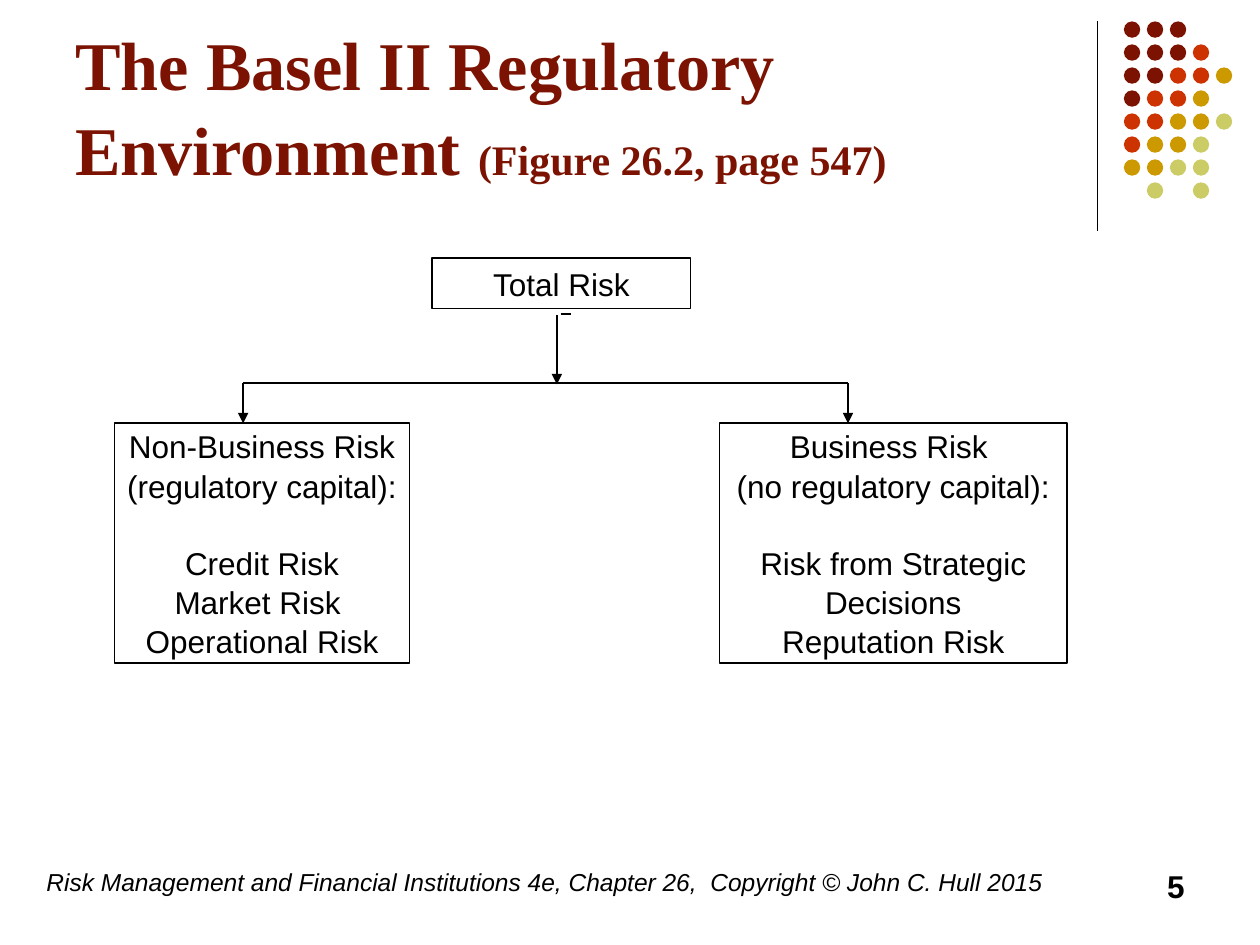
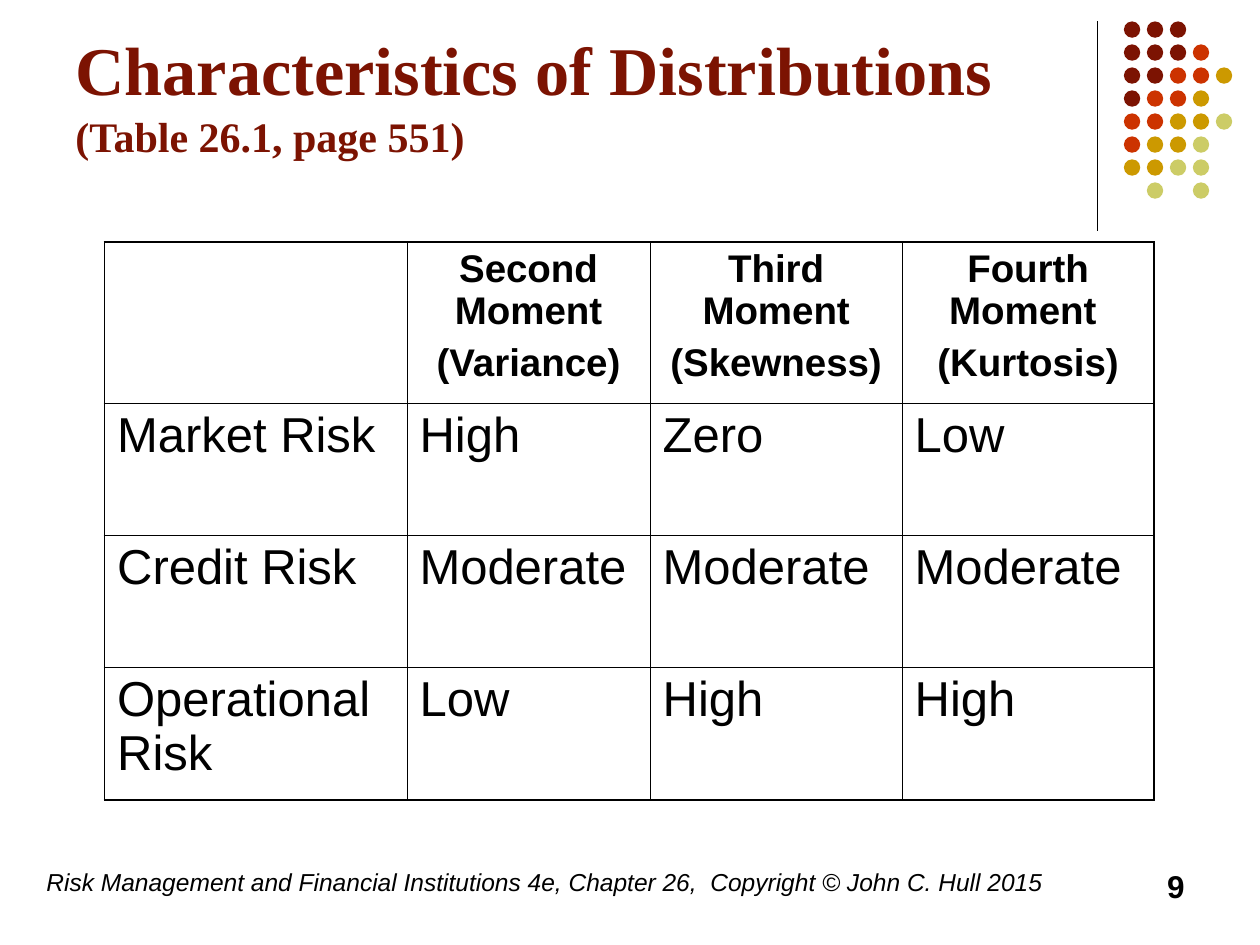
from lxml import etree
from pptx import Presentation
from pptx.dml.color import RGBColor
from pptx.enum.shapes import MSO_CONNECTOR, MSO_SHAPE
from pptx.enum.text import MSO_ANCHOR, PP_ALIGN
from pptx.oxml.ns import qn
from pptx.util import Inches, Pt

STRAIGHT = MSO_CONNECTOR.STRAIGHT
RECTANGLE, OVAL = MSO_SHAPE.RECTANGLE, MSO_SHAPE.OVAL
TOP, MIDDLE, BOTTOM = MSO_ANCHOR.TOP, MSO_ANCHOR.MIDDLE, MSO_ANCHOR.BOTTOM
LEFT, CENTER, RIGHT = PP_ALIGN.LEFT, PP_ALIGN.CENTER, PP_ALIGN.RIGHT

BLACK = RGBColor(0x00, 0x00, 0x00)
WHITE = RGBColor(0xFF, 0xFF, 0xFF)
MAROON = RGBColor(0x7C, 0x13, 0x02)
RED = RGBColor(0xCC, 0x33, 0x00)
OCHRE = RGBColor(0xCC, 0x99, 0x00)
LIME = RGBColor(0xCC, 0xCC, 0x66)

DOT_COLORS = {"M": MAROON, "R": RED, "O": OCHRE, "L": LIME}
DOT_ROWS = ["MMM", "MMMR", "MMRRO", "MRRO", "RROOL", "ROOL", "OOLL", " L L"]
DOT_PITCH = 0.73 / 4
DOT_SIZE = 0.13

TITLE = {"name": "Times New Roman", "size": Pt(39), "bold": True, "color": MAROON}
REFERENCE = {**TITLE, "size": Pt(24)}
BODY = {"name": "Arial", "size": Pt(18), "color": BLACK}
FOOTER = {**BODY, "size": Pt(14), "italic": True}
NUMBER = {**BODY, "bold": True}
TABLE_HEAD = {**BODY, "size": Pt(22), "bold": True}
TABLE_BODY = {**BODY, "size": Pt(28)}

FOOTER_TEXT = (
    "Risk Management and Financial Institutions 4e, Chapter 26,  "
    "Copyright © John C. Hull 2015"
)
INNER_BORDER, OUTER_BORDER = 0.45, 1.08


class Deck:
    """Holds the presentation, its shared style and the current slide."""

    def __init__(self):
        self.presentation = Presentation()
        self.presentation.slide_width = Inches(10)
        self.presentation.slide_height = Inches(7.5)
        self.slide = None

    def new_slide(self, title, reference, title_height, number):
        """Adds a slide with its title, ornament, footer and number."""
        blank = self.presentation.slide_layouts[6]
        self.slide = self.presentation.slides.add_slide(blank)
        self.line((8.71, 0.17), (8.71, 1.83), width=0.75)
        self.dots()
        self.text_box((0.27, 6.83, 8.27, 0.5), [[(FOOTER_TEXT, FOOTER)]])
        self.text_box(
            (0.5, 0.13, 8.25, title_height),
            [[(title, TITLE), (reference, REFERENCE)]],
            anchor=BOTTOM, spacing=1.04,
        )
        self.text_box((7.17, 6.83, 2.33, 0.5), [[(number, NUMBER)]], align=RIGHT)

    def dots(self):
        """Draws the corner pattern of coloured dots."""
        pattern = self.slide.shapes.add_group_shape()
        for row, codes in enumerate(DOT_ROWS):
            for column, code in enumerate(codes):
                if code == " ":
                    continue
                dot = pattern.shapes.add_shape(
                    OVAL,
                    Inches(8.92 + column * DOT_PITCH),
                    Inches(0.17 + row * DOT_PITCH),
                    Inches(DOT_SIZE), Inches(DOT_SIZE),
                )
                dot.shadow.inherit = False
                dot.fill.solid()
                dot.fill.fore_color.rgb = DOT_COLORS[code]
                dot.line.fill.background()

    def fill_text(self, frame, paragraphs, align=LEFT, spacing=1.0, gaps=None):
        """Fills a text frame; gaps maps a paragraph index to its space before."""
        for index, runs in enumerate(paragraphs):
            paragraph = frame.paragraphs[0] if index == 0 else frame.add_paragraph()
            paragraph.alignment = align
            paragraph.line_spacing = spacing
            paragraph.space_before = Pt((gaps or {}).get(index, 0))
            for text, style in runs:
                run = paragraph.add_run()
                run.text = text
                for key, value in style.items():
                    if key == "color":
                        run.font.color.rgb = value
                    else:
                        setattr(run.font, key, value)

    def text_box(self, place, paragraphs, anchor=TOP, **layout):
        """Adds a wrapping text box."""
        box = self.slide.shapes.add_textbox(*map(Inches, place))
        box.text_frame.word_wrap = True
        box.text_frame.vertical_anchor = anchor
        self.fill_text(box.text_frame, paragraphs, **layout)

    def risk_box(self, place, lines, wrap=True, gaps=None):
        """Adds an outlined box with centred lines."""
        box = self.slide.shapes.add_shape(RECTANGLE, *map(Inches, place))
        box.shadow.inherit = False
        box.fill.solid()
        box.fill.fore_color.rgb = WHITE
        box.line.color.rgb = BLACK
        box.line.width = Pt(1)
        box.text_frame.word_wrap = wrap
        box.text_frame.vertical_anchor = MIDDLE
        paragraphs = [[(line, BODY)] for line in lines]
        self.fill_text(box.text_frame, paragraphs, CENTER, 1.04, gaps)

    def line(self, start, end, width=1, arrow=False):
        """Adds a straight line, with an arrowhead at its end if asked."""
        connector = self.slide.shapes.add_connector(
            STRAIGHT, *map(Inches, (*start, *end))
        )
        connector.line.color.rgb = BLACK
        connector.line.width = Pt(width)
        properties = connector._element.spPr
        if arrow:
            outline = properties.find(qn("a:ln"))
            etree.SubElement(outline, qn("a:tailEnd"), type="triangle")
        etree.SubElement(properties, qn("a:effectLst"))

    def border(self, cell, widths):
        """Draws the left, right, top and bottom borders of a cell."""
        properties = cell._tc.get_or_add_tcPr()
        for position, (side, width) in enumerate(zip("LRTB", widths)):
            edge = etree.Element(qn(f"a:ln{side}"), w=str(Pt(width)))
            fill = etree.SubElement(edge, qn("a:solidFill"))
            etree.SubElement(fill, qn("a:srgbClr"), val=str(BLACK))
            properties.insert(position, edge)

    def table(self, place, column_widths, row_heights, rows):
        """Adds a ruled table whose first row holds centred headings."""
        last_row, last_column = len(rows) - 1, len(column_widths) - 1
        table = self.slide.shapes.add_table(
            len(rows), len(column_widths), *map(Inches, place)
        ).table
        table.first_row = table.horz_banding = False
        for column, width in zip(table.columns, column_widths):
            column.width = Inches(width)
        for row, height in zip(table.rows, row_heights):
            row.height = Inches(height)
        for r, entries in enumerate(rows):
            style, align = (TABLE_BODY, LEFT) if r else (TABLE_HEAD, CENTER)
            for c, lines in enumerate(entries):
                cell = table.cell(r, c)
                cell.fill.background()
                cell.margin_left = cell.margin_right = Inches(0.1)
                cell.margin_top = cell.margin_bottom = Inches(0.05)
                paragraphs = [[(line, style)] for line in lines]
                self.fill_text(cell.text_frame, paragraphs, align, 0.98, {1: 5.5})
                outer = (c == 0, c == last_column, r == 0, r == last_row)
                self.border(
                    cell, [OUTER_BORDER if edge else INNER_BORDER for edge in outer]
                )


def regulatory_environment(deck):
    """Builds the slide that splits total risk in two."""
    deck.new_slide(
        "The Basel II Regulatory Environment ", "(Figure 26.2, page 547)", 1.42, "5"
    )
    branch_y, box_y, box_height = 3.04, 3.36, 1.9
    non_business_x, business_x = 1.93, 6.73

    deck.risk_box((3.43, 2.05, 2.05, 0.4), ["Total Risk"])
    deck.line((4.45, 2.49), (4.53, 2.49))
    deck.line((4.42, 2.5), (4.42, 3.05), arrow=True)
    deck.line((non_business_x, branch_y), (business_x, branch_y))
    deck.risk_box(
        (5.71, box_y, 2.76, box_height),
        ["Business Risk ", "(no regulatory capital):",
         "Risk from Strategic Decisions", "Reputation Risk"],
        gaps={2: 21.6},
    )
    deck.risk_box(
        (0.91, box_y, 2.34, box_height),
        ["Non-Business Risk", "(regulatory capital):",
         "Credit Risk", "Market Risk ", "Operational Risk"],
        wrap=False, gaps={2: 21.6},
    )
    for branch_x in (non_business_x, business_x):
        deck.line((branch_x, branch_y), (branch_x, box_y), arrow=True)


def distribution_characteristics(deck):
    """Builds the slide that compares the moments of three risks."""
    deck.new_slide(
        "Characteristics of Distributions ", "(Table 26.1, page 551)", 1.2, "9"
    )
    headings = [
        [],
        ["Second Moment", "(Variance)"],
        ["Third Moment", "(Skewness)"],
        ["Fourth Moment ", "(Kurtosis)"],
    ]
    risks = [
        ["Market Risk", "High", "Zero", "Low"],
        ["Credit Risk", "Moderate", "Moderate", "Moderate"],
        ["Operational Risk", "Low", "High", "High"],
    ]
    deck.table(
        (0.83, 1.92, 8.33, 4.43),
        [2.4, 1.93, 2, 2],
        [1.28] + [1.05] * len(risks),
        [headings] + [[[entry] for entry in risk] for risk in risks],
    )


def main():
    """Builds and saves the presentation."""
    deck = Deck()
    regulatory_environment(deck)
    distribution_characteristics(deck)
    deck.presentation.save("out.pptx")


if __name__ == "__main__":
    main()
